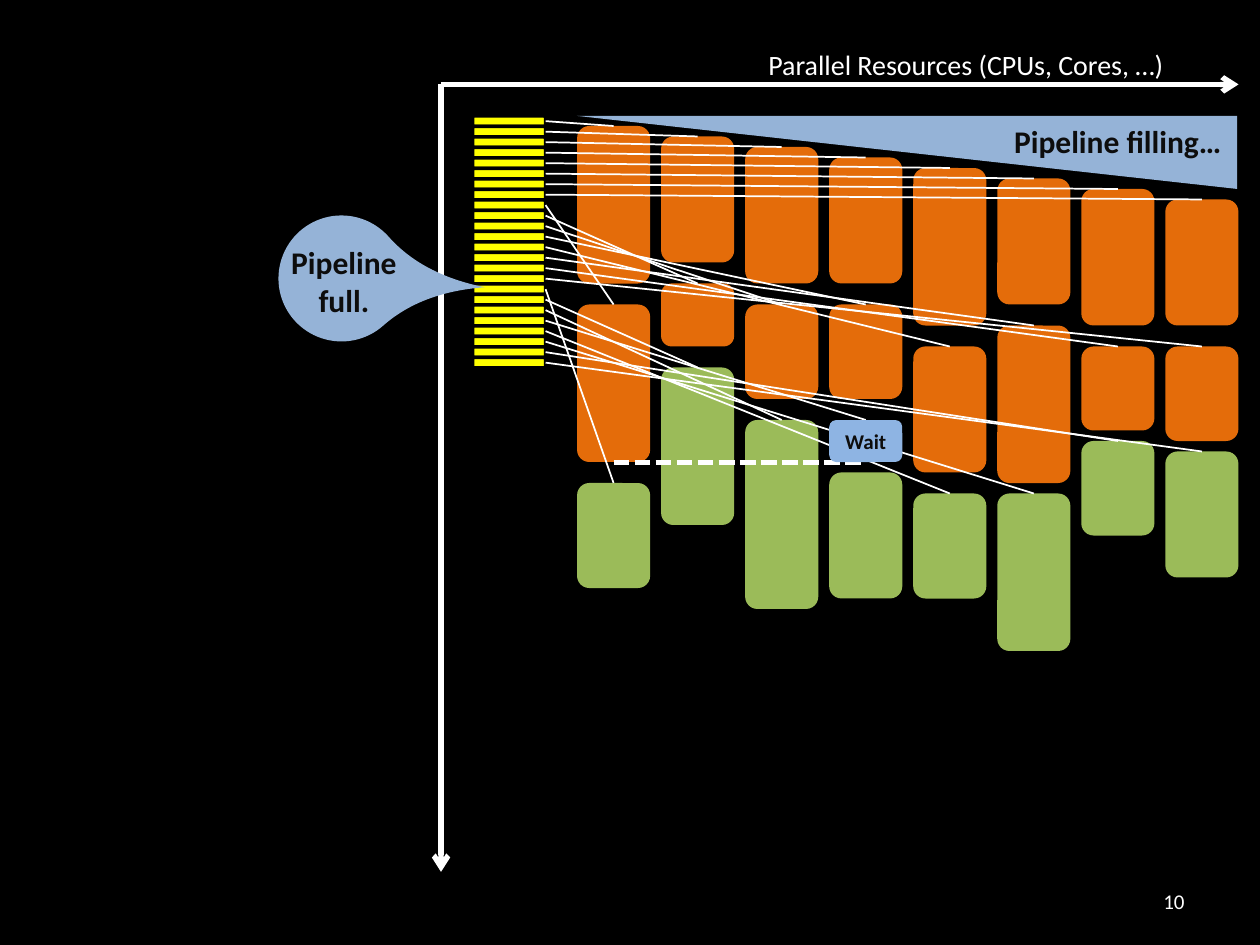
from dataclasses import dataclass

from lxml.etree import SubElement
from pptx import Presentation
from pptx.dml.color import RGBColor
from pptx.enum.dml import MSO_LINE
from pptx.enum.shapes import MSO_CONNECTOR, MSO_SHAPE
from pptx.enum.text import MSO_ANCHOR, MSO_AUTO_SIZE, PP_ALIGN
from pptx.oxml.ns import qn
from pptx.util import Inches, Pt


@dataclass
class Theme:
    font = "Calibri"
    back = RGBColor.from_string("000000")
    light = RGBColor.from_string("FFFFFF")
    dark = RGBColor.from_string("0D0D0D")
    queue = RGBColor.from_string("FFFF00")
    fill_run = RGBColor.from_string("E46C0A")
    full_run = RGBColor.from_string("9BBB59")
    note = RGBColor.from_string("95B3D7")
    wait = RGBColor.from_string("8EB4E3")
    small = Pt(12)
    label = Pt(16)
    head = Pt(18)


theme = Theme()
deck = Presentation()
deck.slide_width, deck.slide_height = Inches(10), Inches(7.5)
slide = deck.slides.add_slide(deck.slide_layouts[6])
slide.background.fill.solid()
slide.background.fill.fore_color.rgb = theme.back


def add_block(kind, left, top, width, height, color):
    shape = slide.shapes.add_shape(
        kind, Inches(left), Inches(top), Inches(width), Inches(height))
    shape.shadow.inherit = False
    shape.fill.solid()
    shape.fill.fore_color.rgb = color
    shape.line.fill.background()
    return shape


def add_line(x1, y1, x2, y2, weight):
    line = slide.shapes.add_connector(
        MSO_CONNECTOR.STRAIGHT, Inches(x1), Inches(y1), Inches(x2), Inches(y2))
    line.line.color.rgb = theme.light
    line.line.width = Pt(weight)
    SubElement(line._element.spPr, qn("a:effectLst"))
    return line


# Time runs down in ticks, one column per core
tick = 1 / 12
lanes = 8
lane_left, lane_step, wide = 4.58, 0.667, 0.58
queue_left, queue_top = 3.75, 0.92
rounds = [  # color, (start tick, length) per core
    (theme.fill_run, [(12, 15), (13, 12), (14, 13), (15, 12),
                      (16, 15), (17, 12), (18, 13), (19, 12)]),
    (theme.fill_run, [(29, 15), (27, 6), (29, 9), (29, 9),
                      (33, 12), (31, 15), (33, 8), (33, 9)]),
    (theme.full_run, [(46, 10), (35, 15), (40, 18), (45, 12),
                      (47, 10), (47, 15), (42, 9), (43, 12)]),
]
wait_task, wait_lane, wait_start, wait_span = 19, 3, 40, 4

# Task blocks
starts = []
for color, tasks in rounds:
    for lane, (start, span) in enumerate(tasks):
        add_block(MSO_SHAPE.ROUNDED_RECTANGLE, lane_left + lane * lane_step,
                  start * tick, wide, span * tick, color)
        starts.append(start)
starts[wait_task] = wait_start

# Axes
for x, y in [(9.83, 0.67), (3.5, 6.92)]:
    axis = add_line(3.5, 0.67, x, y, 3)
    SubElement(axis.line._get_or_add_ln(), qn("a:tailEnd"), type="arrow")

# Queue of tasks, each tied to its block
for task, start in enumerate(starts):
    top = queue_top + task * tick
    bar = add_block(MSO_SHAPE.ROUNDED_RECTANGLE, queue_left, top, wide, tick, theme.queue)
    bar.line.color.rgb = theme.back
    bar.line.width = Pt(2)
for task, start in enumerate(starts):
    mid = lane_left + task % lanes * lane_step + wide / 2
    add_line(queue_left + wide, queue_top + (task + 0.5) * tick, mid, start * tick, 1)

# Dependency that holds up the waiting task
dash = add_line(4.87, 3.67, 6.87, 3.67, 3)
dash.line.dash_style = MSO_LINE.SQUARE_DOT

# Callout shapes
wedge = add_block(MSO_SHAPE.RIGHT_TRIANGLE, 4.58, 0.92, 5.24, 0.58, theme.note)
wedge._element.spPr.xfrm.set("flipH", "1")
wedge._element.spPr.xfrm.set("flipV", "1")
drop = add_block(MSO_SHAPE.TEAR, 2.21, 1.71, 1, 1, theme.note)
drop.rotation = 48.5
drop.adjustments[0] = 1.61
hold = add_block(MSO_SHAPE.ROUNDED_RECTANGLE, lane_left + wait_lane * lane_step,
                 wait_start * tick, wide, wait_span * tick, theme.wait)

# Text
left, mid, right = PP_ALIGN.LEFT, PP_ALIGN.CENTER, PP_ALIGN.RIGHT
labels = [  # text, box, size, color, bold, align
    ("Parallel Resources (CPUs, Cores, …)", (6, 0.33, 3.38, 0.37),
     theme.label, theme.light, False, left),
    ("Pipeline filling…", (7.95, 0.92, 1.88, 0.4), theme.head, theme.dark, True, left),
    ("Pipeline\nfull.", (2.21, 1.88, 1.04, 0.71), theme.head, theme.dark, True, mid),
    ("Wait", None, theme.small, theme.dark, True, mid),
    ("10", (7.17, 6.95, 2.33, 0.4), theme.small, theme.light, False, right),
]
for text, box, size, color, bold, align in labels:
    shape = slide.shapes.add_textbox(*map(Inches, box)) if box else hold
    frame = shape.text_frame
    frame.text = text
    if shape is hold or align == right:
        frame.word_wrap = True
        frame.vertical_anchor = MSO_ANCHOR.MIDDLE
    else:
        frame.word_wrap = False
        frame.auto_size = MSO_AUTO_SIZE.SHAPE_TO_FIT_TEXT
    for para in frame.paragraphs:
        para.alignment = align
        for run in para.runs:
            run.font.name = theme.font
            run.font.size = size
            run.font.bold = bold
            run.font.color.rgb = color

deck.save("out.pptx")
